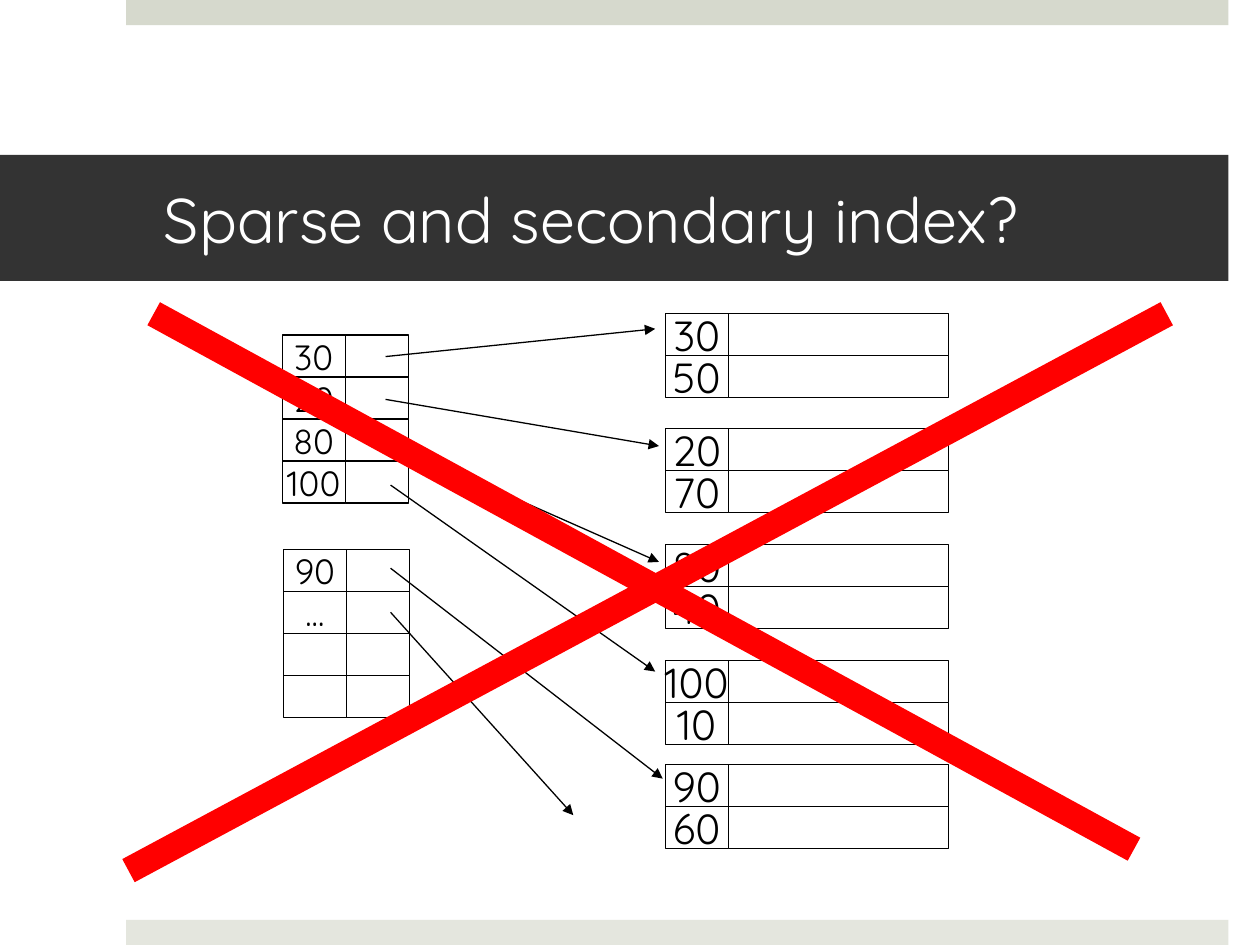
"""Build the slide that asks whether an index can be sparse and secondary."""
import dataclasses

import lxml.etree
import pptx
import pptx.dml.color
import pptx.enum.shapes
import pptx.enum.text
import pptx.oxml.ns
import pptx.util

Inches = pptx.util.Inches
ALIGN = pptx.enum.text.PP_ALIGN
BLACK, WHITE, RED = "000000", "FFFFFF", "FF0000"
ROW = 1 / 3
KEY = 0.5


@dataclasses.dataclass
class Block:
    left: float
    top: float
    keys: list[str]
    width: float
    size: int


@dataclasses.dataclass
class Line:
    start: tuple[float, float]
    end: tuple[float, float]
    color: str = BLACK
    weight: float = 0.75
    arrow: bool = True


def shade(target, color: str) -> None:
    target.solid()
    target.fore_color.rgb = pptx.dml.color.RGBColor.from_string(color)


def box(left: float, top: float, width: float, height: float, fill: str, edge: str = ""):
    shape = slide.shapes.add_shape(
        pptx.enum.shapes.MSO_SHAPE.RECTANGLE,
        Inches(left), Inches(top), Inches(width), Inches(height))
    shape.shadow.inherit = False
    shade(shape.fill, fill)
    if edge:
        shade(shape.line.fill, edge)
        shape.line.width = pptx.util.Pt(0.75)
    else:
        shape.line.fill.background()
    return shape


def write(shape, text: str, *, size: int, color: str = BLACK, align=ALIGN.CENTER,
          wrap: bool = False, left: float = 0.1, right: float = 0.1) -> None:
    frame = shape.text_frame
    frame.word_wrap = wrap
    frame.vertical_anchor = pptx.enum.text.MSO_ANCHOR.MIDDLE
    frame.margin_left, frame.margin_right = Inches(left), Inches(right)
    part = frame.paragraphs[0]
    part.alignment = align
    run = part.add_run()
    run.text = text
    run.font.name = "Quicksand"
    run.font.size = pptx.util.Pt(size)
    shade(run.font.fill, color)


def stack(block: Block) -> None:
    for row, key in enumerate(block.keys):
        top = block.top + row * ROW
        cell = box(block.left, top, KEY, ROW, WHITE, BLACK)
        if key:
            write(cell, key, size=block.size)
        box(block.left + KEY, top, block.width, ROW, WHITE, BLACK)


def draw(line: Line) -> None:
    link = slide.shapes.add_connector(
        pptx.enum.shapes.MSO_CONNECTOR.STRAIGHT,
        *(Inches(value) for value in line.start + line.end))
    shade(link.line.fill, line.color)
    link.line.width = pptx.util.Pt(line.weight)
    if line.arrow:
        lxml.etree.SubElement(
            link.line._get_or_add_ln(), pptx.oxml.ns.qn("a:tailEnd"), type="triangle")
    lxml.etree.SubElement(link._element.spPr, pptx.oxml.ns.qn("a:effectLst"))


deck = pptx.Presentation()
deck.slide_width, deck.slide_height = Inches(10), Inches(7.5)
slide = deck.slides.add_slide(deck.slide_layouts[6])

box(1, 0, 8.75, 0.2, "D6D9CD")
box(1, 7.3, 8.75, 0.2, "E4E6DE")
title = box(0, 1.23, 9.75, 1, "333333")
write(title, "Sparse and secondary index?", size=36, color=WHITE,
      align=ALIGN.LEFT, wrap=True, left=1.3, right=0.3)

RECORDS = [
    (2.49, ["30", "50"]),
    (3.4, ["20", "70"]),
    (4.32, ["80", "40"]),
    (5.24, ["100", "10"]),
    (6.07, ["90", "60"]),
]
for top, keys in RECORDS:
    stack(Block(5.28, top, keys, 1.75, 24))

stack(Block(2.24, 2.66, ["30", "20", "80", "100"], KEY, 20))
stack(Block(2.25, 4.36, ["90", "...", "", ""], KEY, 20))

LINES = [
    Line((3.06, 2.83), (5.2, 2.61)),
    Line((3.06, 3.17), (5.23, 3.54)),
    Line((3.06, 3.5), (5.23, 4.46)),
    Line((3.1, 3.85), (5.2, 5.33)),
    Line((3.1, 4.51), (5.26, 6.18)),
    Line((3.1, 4.86), (4.55, 6.47)),
    Line((1.22, 2.49), (9, 6.74), RED, 15, False),
    Line((1.02, 6.91), (9.26, 2.49), RED, 15, False),
]
for line in LINES:
    draw(line)

deck.save("out.pptx")
